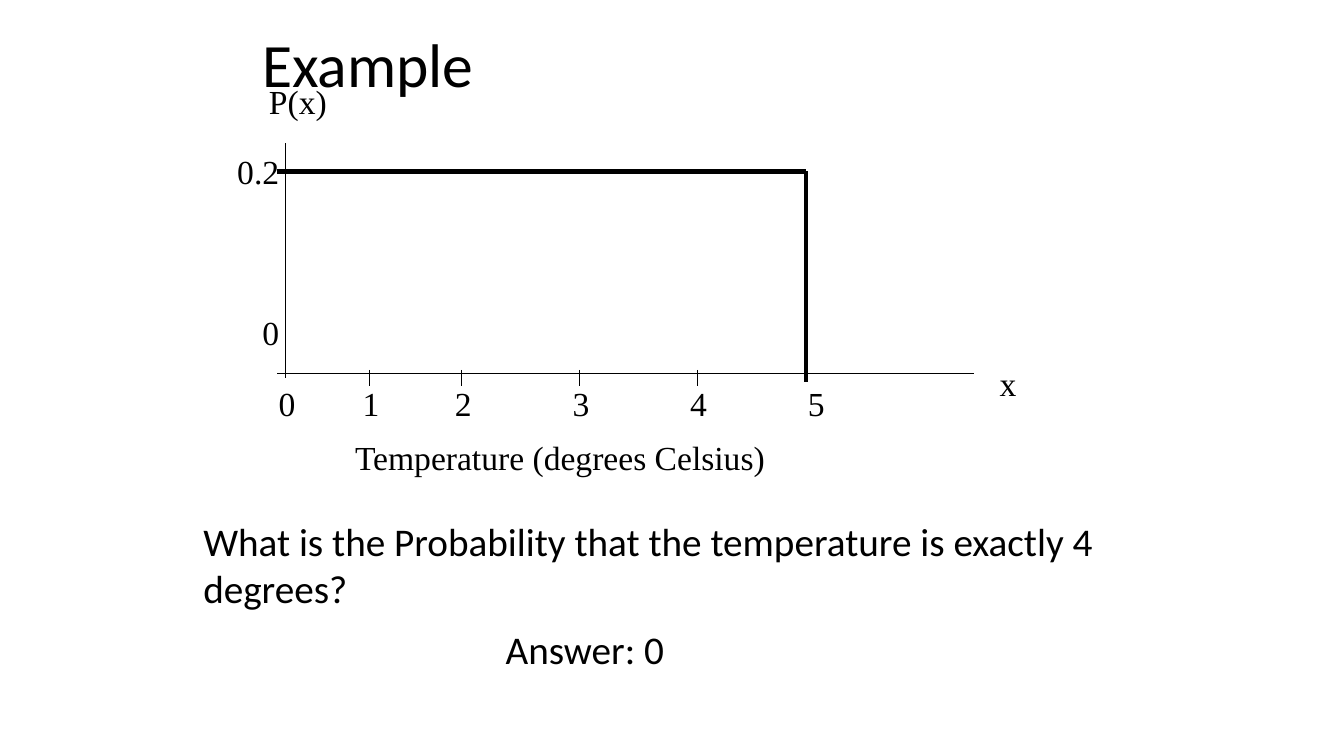
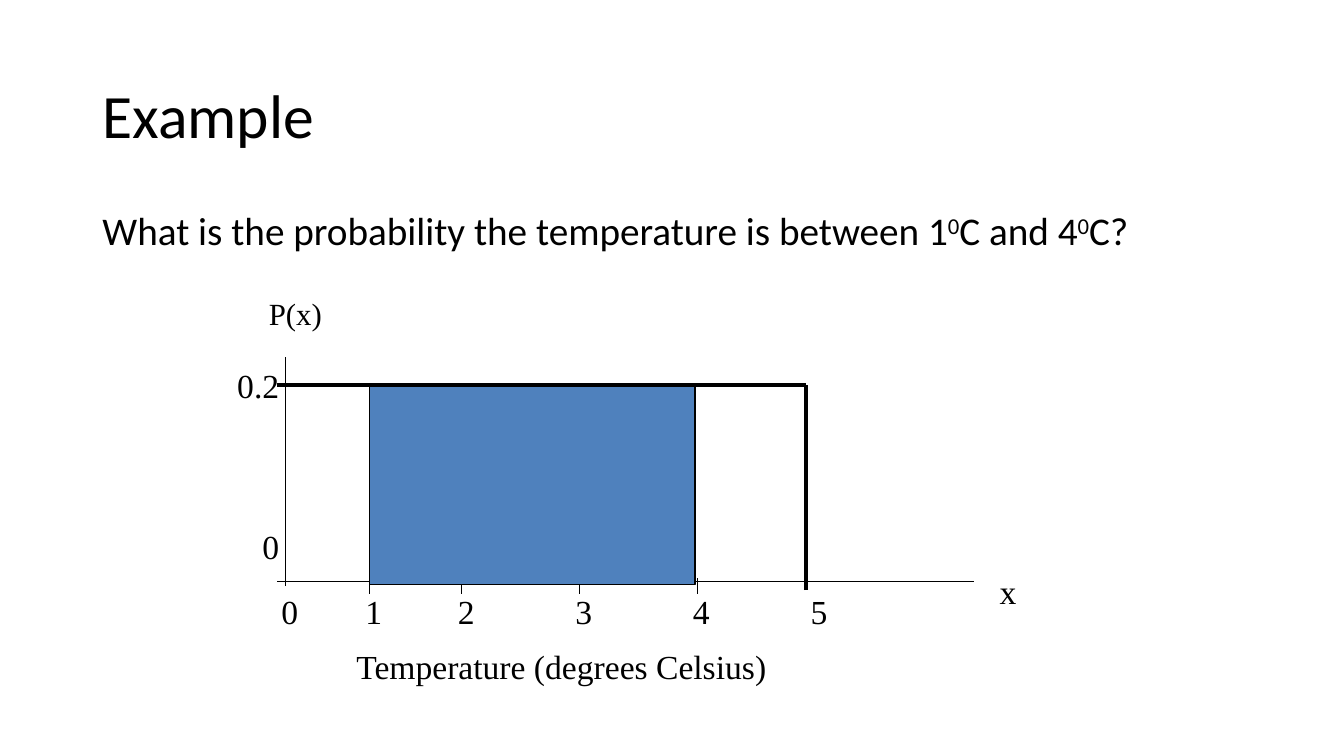
"""Build two example slides on a uniform temperature distribution."""
from dataclasses import dataclass

from lxml.etree import SubElement as Sub
from pptx import Presentation
from pptx.dml.color import RGBColor
from pptx.enum.shapes import MSO_CONNECTOR as Conn, MSO_SHAPE as Shape
from pptx.enum.text import MSO_ANCHOR as Anchor, MSO_AUTO_SIZE as Fit, PP_ALIGN as Align
from pptx.oxml.ns import qn
from pptx.slide import Slide
from pptx.text.text import _Paragraph as Para
from pptx.util import Pt

BLACK = RGBColor(0x00, 0x00, 0x00)
BLUE = RGBColor(0x4F, 0x81, 0xBD)
SANS = "Calibri"
SERIF = "Times New Roman"
THIN, THICK = 0.75, 3
AXIS, WALL = 204, 576
TICKS = (264, 330, 414, 498)
MARKS = (205, 265, 331, 415, 499, 583)


@dataclass(frozen=True)
class Box:
    left: float
    top: float
    width: float
    height: float


@dataclass(frozen=True)
class Plot:
    top: float
    base: float
    size: float
    shift: float = 0


@dataclass(frozen=True)
class Line:
    runs: tuple[str, ...]
    indent: float = 0


@dataclass(frozen=True)
class Page:
    title: Box
    body: Box
    lines: tuple[Line, ...]
    plot: Plot
    shade: bool = False


PAGES = (
    Page(
        Box(180, 0, 612, 90),
        Box(138, 366, 666, 120),
        (
            Line(("What is the Probability that the temperature is exactly 4 degrees?",)),
            Line(("Answer: 0",), 216),
        ),
        Plot(122.5, 266.8, 24),
    ),
    Page(
        Box(66, 28.8, 828, 104.4),
        Box(66, 144, 828, 342.7),
        (
            Line(("What is the probability the temperature is between 1", "0", "C and 4", "0", "C?")),
        ),
        Plot(275, 415.6, 22, 2),
        True,
    ),
)


def place(item, box: Box) -> None:
    item.left, item.top = Pt(box.left), Pt(box.top)
    item.width, item.height = Pt(box.width), Pt(box.height)


def style(para: Para, face: str, size: float) -> None:
    for run in para.runs:
        run.font.name = face
        run.font.size = Pt(size)
        run.font.color.rgb = BLACK


def head(slide: Slide, box: Box) -> None:
    title = slide.shapes.title
    place(title, box)
    frame = title.text_frame
    frame.text = "Example"
    frame.vertical_anchor = Anchor.MIDDLE
    frame.auto_size = Fit.NONE
    para = frame.paragraphs[0]
    para.alignment = Align.LEFT
    style(para, SANS, 44)


def body(slide: Slide, box: Box, lines: tuple[Line, ...]) -> None:
    item = slide.placeholders[1]
    place(item, box)
    frame = item.text_frame
    frame.auto_size = Fit.NONE
    for row, line in enumerate(lines):
        para = frame.add_paragraph() if row else frame.paragraphs[0]
        para.space_before = Pt(10)
        props = para._p.get_or_add_pPr()
        props.set("marL", str(Pt(line.indent)))
        props.set("indent", "0")
        Sub(props, qn("a:buNone"))
        for spot, text in enumerate(line.runs):
            run = para.add_run()
            run.text = text
            if spot % 2:
                run._r.get_or_add_rPr().set("baseline", "30000")
        style(para, SANS, 28)


def rule(slide: Slide, x1: float, y1: float, x2: float, y2: float, width: float = THIN) -> None:
    line = slide.shapes.add_connector(Conn.STRAIGHT, Pt(x1), Pt(y1), Pt(x2), Pt(y2))
    line.line.color.rgb = BLACK
    line.line.width = Pt(width)
    Sub(line._element.spPr, qn("a:effectLst"))


def label(slide: Slide, text: str, box: Box, align: Align = Align.LEFT, size: float = 24) -> None:
    item = slide.shapes.add_textbox(Pt(box.left), Pt(box.top), Pt(box.width), Pt(box.height))
    frame = item.text_frame
    frame.word_wrap = True
    frame.text = text
    para = frame.paragraphs[0]
    para.alignment = align
    style(para, SERIF, size)


def graph(slide: Slide, plot: Plot) -> None:
    top, base, shift = plot.top, plot.base, plot.shift
    rule(slide, AXIS, base + 3, AXIS, top - 20)
    for tick in TICKS:
        rule(slide, tick, base - 2.5, tick, base + 9)
    rule(slide, 198, base, 696, base)
    rule(slide, 198, top, WALL, top, THICK)
    rule(slide, WALL, base + 6, WALL, top, THICK)
    label(slide, "x", Box(707, base - 11, 26, 36))
    label(slide, "P(x)", Box(185, top - 68, 60, 36), size=plot.size)
    label(slide, "Temperature (degrees Celsius)", Box(240 + shift / 2, base + 42, 320, 36), Align.CENTER)
    for value, mark in enumerate(MARKS):
        label(slide, str(value), Box(mark + shift - 15, base + 3, 30, 36), Align.CENTER)
    for text, drop in (("0.2", -18), ("0", 97)):
        label(slide, text, Box(156, top + drop, 50.5, 36), Align.RIGHT)


def shade(slide: Slide, plot: Plot) -> None:
    left, right = TICKS[0], TICKS[-1] - 1.5
    top = plot.top + 0.8
    area = slide.shapes.add_shape(
        Shape.RECTANGLE, Pt(left), Pt(top), Pt(right - left), Pt(plot.base + 2 - top)
    )
    area.shadow.inherit = False
    area.fill.solid()
    area.fill.fore_color.rgb = BLUE
    area.line.color.rgb = BLACK
    area.line.width = Pt(THIN)


def main() -> None:
    deck = Presentation()
    deck.slide_width, deck.slide_height = Pt(960), Pt(540)
    for page in PAGES:
        slide = deck.slides.add_slide(deck.slide_layouts[1])
        head(slide, page.title)
        body(slide, page.body, page.lines)
        graph(slide, page.plot)
        if page.shade:
            shade(slide, page.plot)
    deck.save("out.pptx")


if __name__ == "__main__":
    main()
